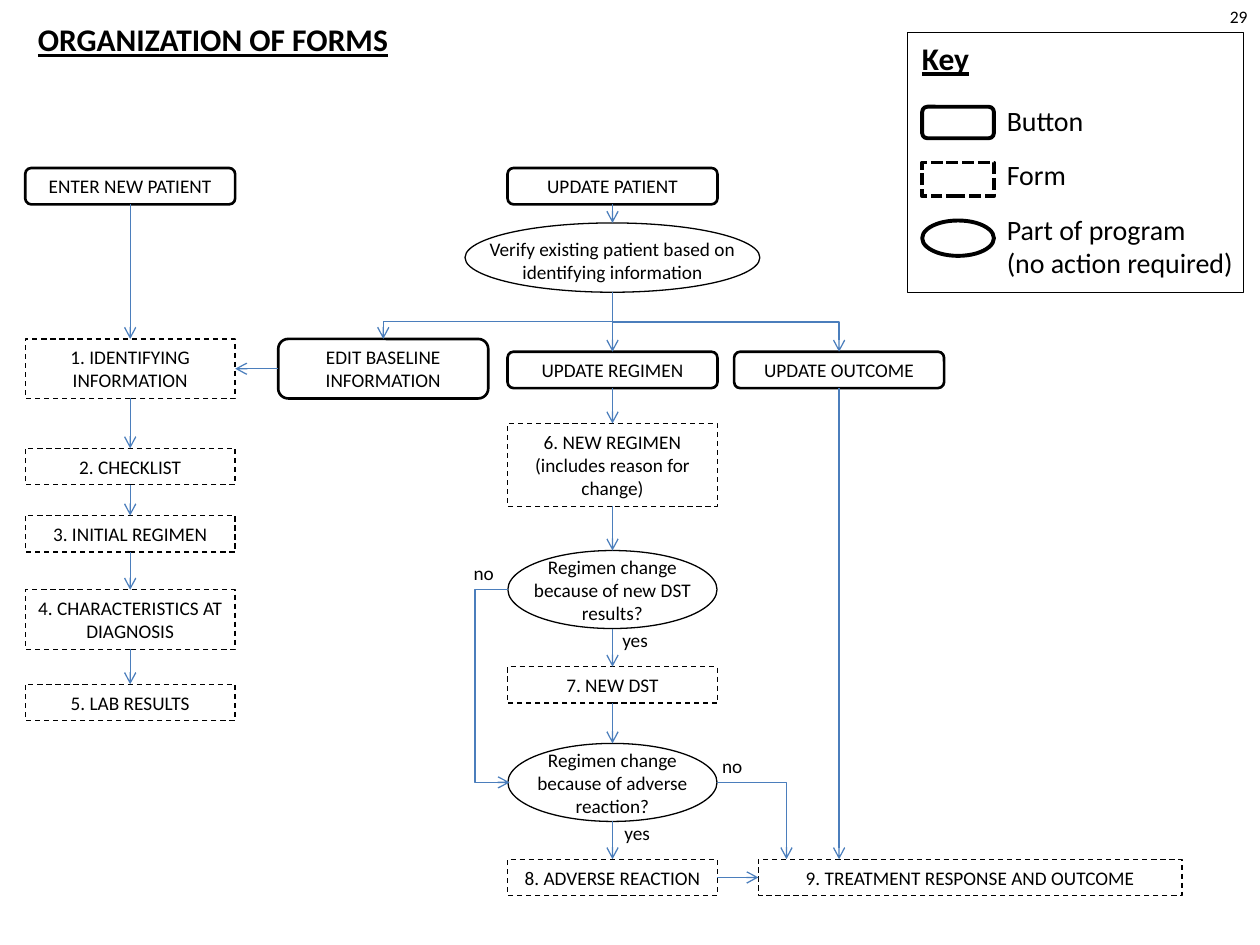
import lxml.etree
import pptx
import pptx.dml.color
import pptx.enum.dml
import pptx.enum.shapes
import pptx.enum.text
import pptx.oxml.ns
import pptx.util

Pt = pptx.util.Pt
qn = pptx.oxml.ns.qn
Shape = pptx.enum.shapes.MSO_SHAPE
Connector = pptx.enum.shapes.MSO_CONNECTOR
Dash = pptx.enum.dml.MSO_LINE
Align = pptx.enum.text.PP_ALIGN
Anchor = pptx.enum.text.MSO_ANCHOR

BLACK, WHITE, BLUE = "000000", "FFFFFF", "4B7EBC"
TOP, LEFT, BOTTOM, RIGHT = range(4)
COLUMN_WIDTH = 120
NEW, BASELINE, REGIMEN, OUTCOME = 74.4, 219, 350, 479.5  # column centres
ONE_LINE, TWO_LINES, THREE_LINES = 20.8, 34, 47.4  # box heights


def color(hex_string):
    return pptx.dml.color.RGBColor.from_string(hex_string)


def write(shape, text, size=11, align=Align.CENTER, anchor=Anchor.MIDDLE, heading=False, inset=7.2):
    frame = shape.text_frame
    frame.text = text
    frame.word_wrap = True
    frame.auto_size = pptx.enum.text.MSO_AUTO_SIZE.NONE
    frame.vertical_anchor = anchor
    frame.margin_left = frame.margin_right = Pt(inset)
    frame.margin_top = frame.margin_bottom = Pt(3.6)
    for para in frame.paragraphs:
        para.alignment = align
        para.space_before = Pt(0)
        for span in para.runs:
            span.font.name = "Calibri"
            span.font.size = Pt(size)
            span.font.color.rgb = color(BLACK)
            span.font.bold = span.font.underline = heading


def place(shape, left, top, width, height):
    shape.left, shape.top = Pt(left), Pt(top)
    shape.width, shape.height = Pt(width), Pt(height)


def add_label(page, text, left, top, width, height=ONE_LINE, **style):
    box = page.shapes.add_textbox(Pt(left), Pt(top), Pt(width), Pt(height))
    write(box, text, **style)


def add_outline(page, kind, left, top, width, height, weight=0.75, dash=None):
    shape = page.shapes.add_shape(kind, Pt(left), Pt(top), Pt(width), Pt(height))
    shape.shadow.inherit = False
    shape.fill.background()
    shape.line.color.rgb = color(BLACK)
    shape.line.width = Pt(weight)
    if dash:
        shape.line.dash_style = dash
    return shape


def add_button(page, text, center, top, height=ONE_LINE):
    button = add_outline(page, Shape.ROUNDED_RECTANGLE, center - COLUMN_WIDTH / 2, top,
                         COLUMN_WIDTH, height, 1.5)
    write(button, text)
    return button


def add_form(page, text, center, top, height=ONE_LINE, width=COLUMN_WIDTH):
    form = add_outline(page, Shape.RECTANGLE, center - width / 2, top, width, height, dash=Dash.DASH)
    write(form, text, inset=6)
    return form


def add_program_step(page, text, top, width, height, text_shift=0):
    """Oval with a label wider than the oval's own text area."""
    oval = add_outline(page, Shape.OVAL, REGIMEN - width / 2, top, width, height)
    add_label(page, text, REGIMEN - width / 2, top + text_shift, width, height)
    return oval


def add_arrow(page, begin, end, kind=Connector.STRAIGHT):
    arrow = page.shapes.add_connector(kind, *(Pt(value) for value in (*begin, *end)))
    arrow.line.color.rgb = color(BLUE)
    arrow.line.width = Pt(0.75)
    line = arrow.line._get_or_add_ln()
    lxml.etree.SubElement(line, qn("a:tailEnd"), type="arrow")
    lxml.etree.SubElement(arrow._element.spPr, qn("a:effectLst"))
    return arrow


def side_point(shape, side):
    across, down = ((0.5, 0), (0, 0.5), (0.5, 1), (1, 0.5))[side]
    return (shape.left + shape.width * across) / Pt(1), (shape.top + shape.height * down) / Pt(1)


def link(page, source, target, source_side=BOTTOM, target_side=TOP):
    """Straight arrow; ovals are joined only at the top, where their sites match."""
    arrow = add_arrow(page, side_point(source, source_side), side_point(target, target_side))
    if source.auto_shape_type != Shape.OVAL:
        arrow.begin_connect(source, source_side)
    if target.auto_shape_type != Shape.OVAL or target_side == TOP:
        arrow.end_connect(target, target_side)


def set_bend(arrow, share):
    guides = arrow._element.spPr.find(qn("a:prstGeom")).get_or_add_avLst()
    lxml.etree.SubElement(guides, qn("a:gd"), name="adj1", fmla=f"val {round(share * 100000)}")


def add_branch(page, begin, end, share):
    """Elbow that leaves downwards: a sideways elbow turned by a quarter."""
    across, down = end[0] - begin[0], end[1] - begin[1]
    middle_x, middle_y = begin[0] + across / 2, begin[1] + down / 2
    turn = 1 if across < 0 else -1
    half_x, half_y = turn * down / 2, abs(across) / 2
    arrow = add_arrow(page, (middle_x - half_x, middle_y - half_y),
                      (middle_x + half_x, middle_y + half_y), Connector.ELBOW)
    arrow._element.spPr.find(qn("a:xfrm")).set("rot", str(turn * 90 % 360 * 60000))
    set_bend(arrow, share)


def add_key(page, entries):
    add_outline(page, Shape.RECTANGLE, 518.4, 18.7, 192.2, 148.4)
    add_label(page, "Key", 519.8, 18.7, 138, 29, size=18, align=Align.LEFT, heading=True)
    for kind, top, height, dash in (
        (Shape.ROUNDED_RECTANGLE, 61, 18, None),
        (Shape.RECTANGLE, 92.9, 19.4, Dash.SQUARE_DOT),
        (Shape.OVAL, 126, 20.2, None),
    ):
        add_outline(page, kind, 527, top, 41, height, 2.25, dash)
    place(entries, 568.1, 55.4, 145.4, 108.7)
    write(entries, "Button\nForm\nPart of program\n(no action required)", 16, Align.LEFT, Anchor.TOP)
    for para, gap in zip(entries.text_frame.paragraphs, (12, 12, 0, 12)):
        para.space_after = Pt(gap)
        properties = para._p.get_or_add_pPr()
        properties.set("marL", "0")
        properties.set("indent", "0")
        lxml.etree.SubElement(properties, qn("a:buNone"))


def add_new_patient_flow(page):
    steps = [add_button(page, "ENTER NEW PATIENT", NEW, 96)]
    for text, top, height in (
        ("1. IDENTIFYING INFORMATION", 193.7, TWO_LINES),
        ("2. CHECKLIST", 256.2, ONE_LINE),
        ("3. INITIAL REGIMEN", 294.6, ONE_LINE),
        ("4. CHARACTERISTICS AT DIAGNOSIS", 337, TWO_LINES),
        ("5. LAB RESULTS", 391, ONE_LINE),
    ):
        steps.append(add_form(page, text, NEW, top, height))
    for source, target in zip(steps, steps[1:]):
        link(page, source, target)
    return steps[1]


def add_update_flow(page, identifying):
    steps = [
        add_button(page, "UPDATE PATIENT", REGIMEN, 96),
        add_program_step(page, "Verify existing patient based on identifying information",
                         127.4, 168.5, 39.6, 1.5),
        add_button(page, "UPDATE REGIMEN", REGIMEN, 201),
        add_form(page, "6. NEW REGIMEN\n(includes reason for change)", REGIMEN, 242, THREE_LINES),
        add_program_step(page, "Regimen change because of new DST results?", 314.6, 119.5, 44.6),
        add_form(page, "7. NEW DST", REGIMEN, 381),
        add_program_step(page, "Regimen change because of adverse reaction?", 424.8, 119.5, 44.6),
        add_form(page, "8. ADVERSE REACTION", REGIMEN, 491),
    ]
    for source, target in zip(steps, steps[1:]):
        link(page, source, target)
    verify, dst_check, adverse_check, adverse = steps[1], steps[4], steps[6], steps[7]

    baseline = add_button(page, "EDIT BASELINE INFORMATION", BASELINE, 193.7, TWO_LINES)
    outcome = add_button(page, "UPDATE OUTCOME", OUTCOME, 201)
    response = add_form(page, "9. TREATMENT RESPONSE AND OUTCOME", 554.4, 491, width=242)
    link(page, baseline, identifying, LEFT, RIGHT)
    link(page, adverse, response, RIGHT, LEFT)
    add_arrow(page, side_point(outcome, BOTTOM), (OUTCOME, 491))
    add_branch(page, side_point(verify, BOTTOM), side_point(baseline, TOP), 0.63)
    add_branch(page, side_point(verify, BOTTOM), side_point(outcome, TOP), 0.5)

    start_x, start_y = side_point(dst_check, LEFT)
    end_x, end_y = side_point(adverse_check, LEFT)
    skip = add_arrow(page, (start_x, start_y), (end_x + 1, end_y), Connector.ELBOW)
    set_bend(skip, -19)  # 19 times the one-point width, to the left
    finish = add_arrow(page, side_point(adverse_check, RIGHT), (449.4, 491), Connector.ELBOW)
    finish._element.spPr.find(qn("a:prstGeom")).set("prst", "bentConnector2")

    for text, left, top in (("no", 263.5, 316.8), ("yes", 348.5, 355),
                            ("no", 405.5, 427), ("yes", 349.7, 465.8)):
        add_label(page, text, left, top, 34, align=Align.LEFT)


def main():
    deck = pptx.Presentation()
    deck.slide_width, deck.slide_height = Pt(720), Pt(540)
    page = deck.slides.add_slide(deck.slide_layouts[1])
    page.background.fill.solid()
    page.background.fill.fore_color.rgb = color(WHITE)
    title, entries = page.placeholders
    place(title, 14.4, 8, 379.4, 29)
    write(title, "ORGANIZATION OF FORMS", 18, Align.LEFT, heading=True)
    add_label(page, "29", 684, 0, 36, 19.4, size=10, align=Align.RIGHT)
    add_key(page, entries)
    add_update_flow(page, add_new_patient_flow(page))
    deck.save("out.pptx")


if __name__ == "__main__":
    main()
